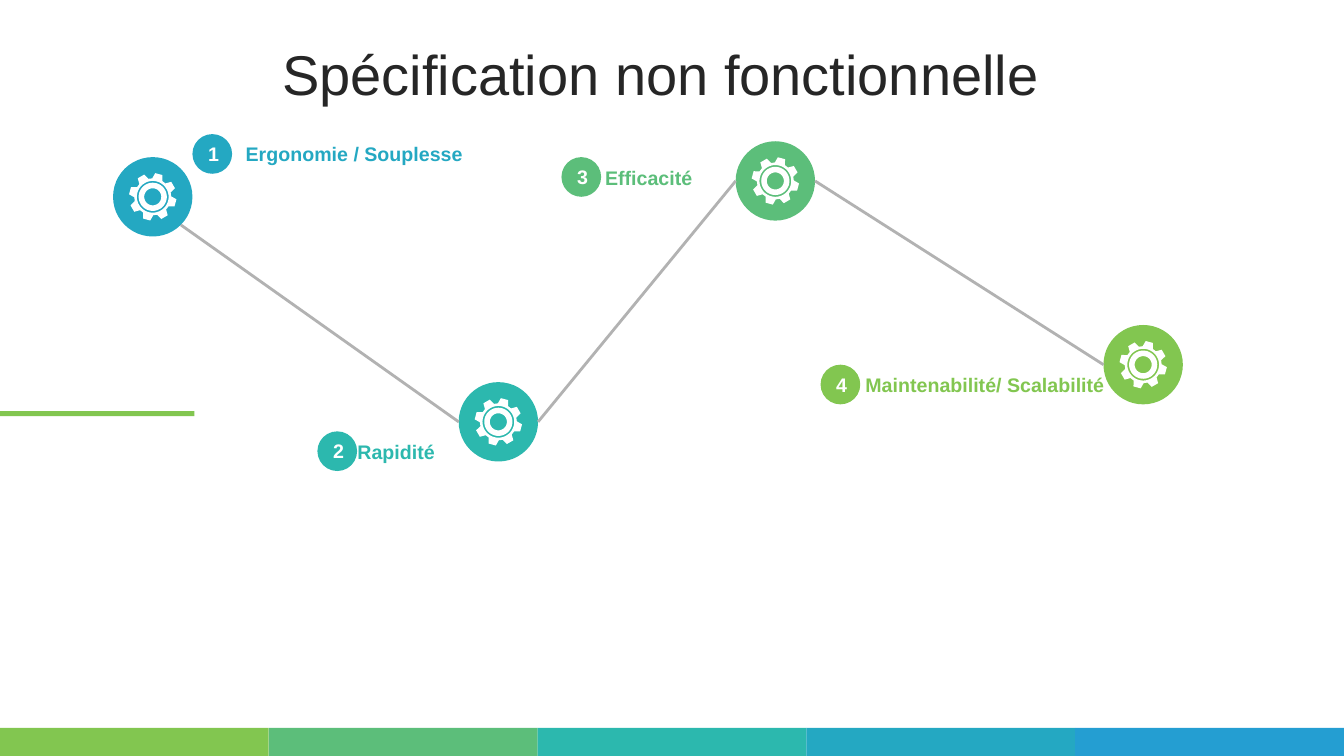
from math import cos, radians, sin

from lxml.etree import SubElement
from pptx import Presentation
from pptx.dml.color import RGBColor
from pptx.enum.shapes import MSO_CONNECTOR as LINE, MSO_SHAPE as SHAPE
from pptx.enum.text import MSO_ANCHOR as ANCHOR, PP_ALIGN as ALIGN
from pptx.oxml.ns import qn
from pptx.util import Cm, Pt

COLORS = {
    "lime": "82C650", "green": "5CBE7A", "teal": "2CB8AE", "cyan": "24A8C2",
    "blue": "249ED2", "gray": "B2B2B2", "dark": "262626", "white": "FFFFFF",
}
TITLE = "Spécification non fonctionnelle"
FOOTER = ["lime", "green", "teal", "cyan", "blue"]
STEPS = [
    {"text": "Ergonomie / Souplesse", "color": "cyan", "node": (2.85, 3.96),
     "badge": (4.85, 3.38), "label": (5.77, 3.45, 6.32),
     "align": ALIGN.CENTER, "number_align": ALIGN.CENTER},
    {"text": "Rapidité", "color": "teal", "node": (11.56, 9.63),
     "badge": (8, 10.87), "label": (5.77, 10.95, 5.44),
     "align": ALIGN.RIGHT, "number_align": ALIGN.RIGHT},
    {"text": "Efficacité", "color": "green", "node": (18.54, 3.56),
     "badge": (14.15, 3.96), "label": (12.47, 4.04, 5.23),
     "align": ALIGN.RIGHT, "number_align": ALIGN.RIGHT},
    {"text": "Maintenabilité/ Scalabilité", "color": "lime", "node": (27.81, 8.19),
     "badge": (20.68, 9.19), "label": (21.56, 9.27, 8.1),
     "align": ALIGN.LEFT, "number_align": ALIGN.RIGHT},
]
EXIT_ANGLES = [45, 0, 0]
WIDTH, HEIGHT = 33.87, 19.05
NODE, BADGE, LABEL_HEIGHT, FOOTER_HEIGHT = 2, 1, 0.86, 0.71
TEETH, TIP, ROOT = 8, 0.6, 0.465
RINGS = [0.4, 0.355, 0.215]


def rgb(name):
    return RGBColor.from_string(COLORS[name])


def paint(sp, color):
    sp.shadow.inherit = False
    sp.fill.solid()
    sp.fill.fore_color.rgb = rgb(color)
    sp.line.fill.background()


def add_block(kind, left, top, width, height, color):
    sp = s.shapes.add_shape(kind, Cm(left), Cm(top), Cm(width), Cm(height))
    paint(sp, color)
    return sp


def write(sp, text, size, color, align, bold=False):
    tf = sp.text_frame
    tf.word_wrap = True
    tf.vertical_anchor = ANCHOR.MIDDLE
    p = tf.paragraphs[0]
    p.alignment = align
    r = p.add_run()
    r.text = text
    r.font.name = "Arial"
    r.font.size = Pt(size)
    r.font.bold = bold
    r.font.color.rgb = rgb(color)
    return p


def add_text(left, top, width, height, *style):
    sp = s.shapes.add_textbox(Cm(left), Cm(top), Cm(width), Cm(height))
    return write(sp, *style)


def polar(center, radius, angle):
    return (Cm(center[0] + radius * cos(radians(angle))),
            Cm(center[1] + radius * sin(radians(angle))))


def add_gear(center):
    profile = [(ROOT, -16.5), (TIP, -9), (TIP, 9), (ROOT, 16.5)]
    teeth = [polar(center, radius, 15 + 360 / TEETH * i + angle)
             for i in range(TEETH) for radius, angle in profile]
    circles = [[polar(center, radius, a) for a in range(0, 360, 6)] for radius in RINGS]
    builder = s.shapes.build_freeform(*teeth[0])
    builder.add_line_segments(teeth[1:])
    for circle in circles:
        builder.move_to(*circle[0])
        builder.add_line_segments(circle[1:])
    paint(builder.convert_to_shape(), "white")


prs = Presentation()
prs.slide_width, prs.slide_height = Cm(WIDTH), Cm(HEIGHT)
s = prs.slides.add_slide(prs.slide_layouts[6])

part = WIDTH / len(FOOTER)
for i, color in enumerate(FOOTER):
    add_block(SHAPE.RECTANGLE, i * part, HEIGHT - FOOTER_HEIGHT, part, FOOTER_HEIGHT, color)
add_block(SHAPE.RECTANGLE, 0, 10.36, 4.9, 0.13, "lime")
add_text(0.56, 0.94, 32.16, 2, TITLE, 40, "dark", ALIGN.CENTER).line_spacing = 0.9

centers = [tuple(v + NODE / 2 for v in step["node"]) for step in STEPS]
for number, (step, center) in enumerate(zip(STEPS, centers), 1):
    color = step["color"]
    add_block(SHAPE.OVAL, *step["node"], NODE, NODE, color)
    add_gear(center)
    badge = add_block(SHAPE.OVAL, *step["badge"], BADGE, BADGE, color)
    write(badge, str(number), 14, "white", step["number_align"], True)
    add_text(*step["label"], LABEL_HEIGHT, step["text"], 14, color, step["align"], True)

for start, end, angle in zip(centers, centers[1:], EXIT_ANGLES):
    link = s.shapes.add_connector(
        LINE.STRAIGHT, *polar(start, NODE / 2, angle), *polar(end, NODE / 2, 180))
    link.line.color.rgb = rgb("gray")
    link.line.width = Pt(2)
    SubElement(link._element.spPr, qn("a:effectLst"))

prs.save("out.pptx")
